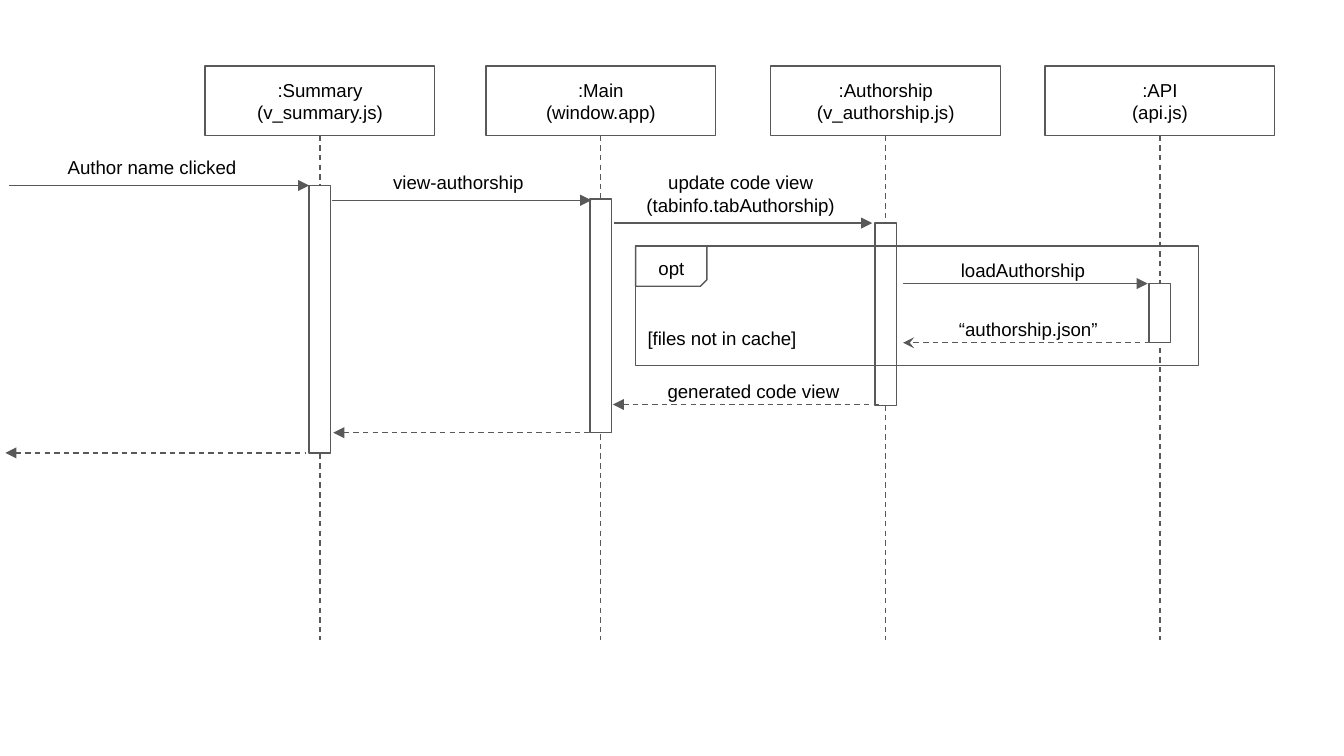
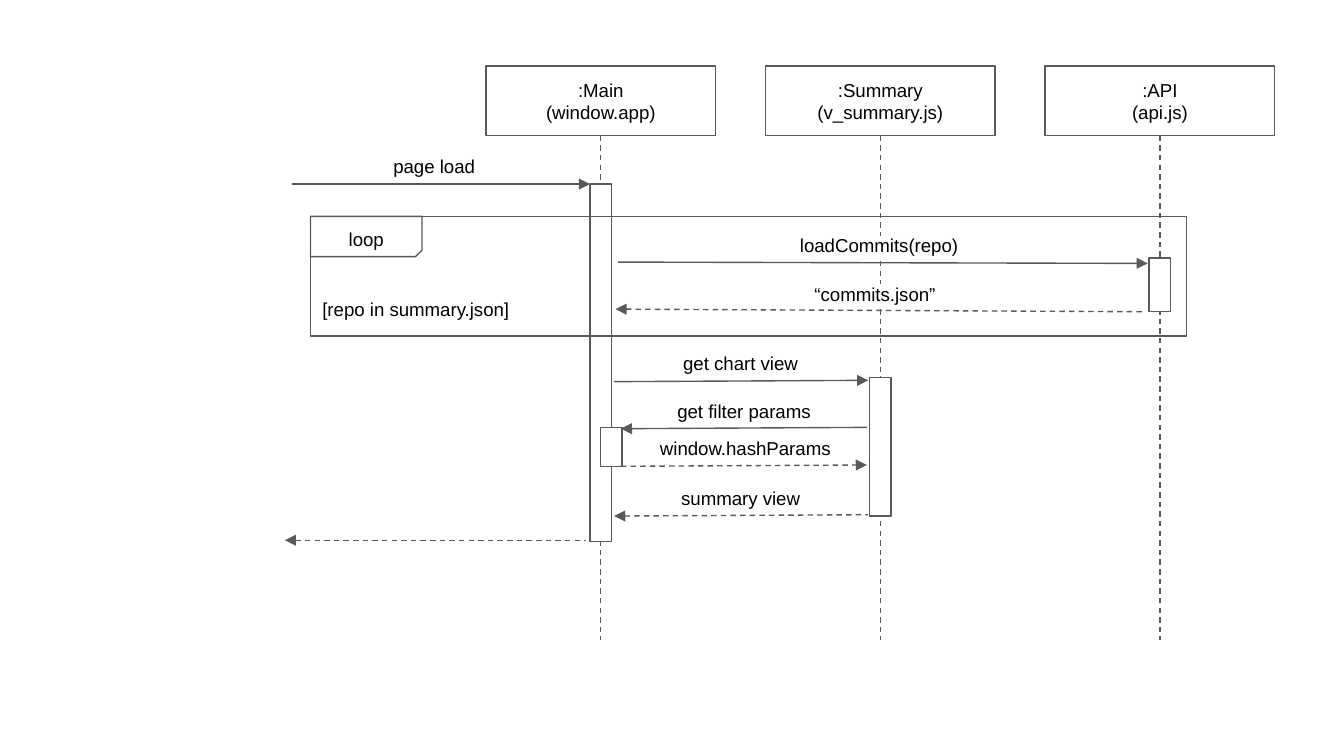
"""Build two sequence diagrams with lifelines, messages and frames."""
from lxml import etree
from pptx import Presentation
from pptx.dml.color import RGBColor
from pptx.enum.dml import MSO_LINE
from pptx.enum.shapes import MSO_CONNECTOR, MSO_SHAPE
from pptx.enum.text import MSO_ANCHOR, PP_ALIGN
from pptx.oxml.ns import qn
from pptx.util import Inches, Pt

RECT, SNIP = MSO_SHAPE.RECTANGLE, MSO_SHAPE.SNIP_1_RECTANGLE
STRAIGHT, DASH = MSO_CONNECTOR.STRAIGHT, MSO_LINE.DASH
TOP, MIDDLE = MSO_ANCHOR.TOP, MSO_ANCHOR.MIDDLE
LEFT, CENTER = PP_ALIGN.LEFT, PP_ALIGN.CENTER

COLORS = {"line": "595959", "text": "000000", "paper": "FFFFFF"}
FONT, SIZE, STROKE, INSET = "Arial", 10, 0.75, 0.1
WIDTH = 10
HEIGHT = WIDTH * 9 / 16
HEAD_TOP, HEAD_W, HEAD_H = 0.49, 1.71, 0.52
LIFE_TOP, LIFE_END = 1.01, 4.76
BAR_W = 0.16
FRAME_H, TAG_H = 0.89, 0.3

AUTHOR = {
    "heads": [
        (4.47, ":Main\n(window.app)"),
        (2.38, ":Summary\n(v_summary.js)"),
        (6.59, ":Authorship\n(v_authorship.js)"),
        (8.63, ":API\n(api.js)"),
    ],
    "bars": [(2.38, 1.38, 1.99), (4.47, 1.48, 1.74),
             (6.59, 1.66, 1.36), (8.63, 2.11, 0.44)],
    "calls": [
        ((0.07, 1.38), (2.3, 1.38), "Author name clicked", (0.02, 2.22, 0.27)),
        ((2.47, 1.49), (4.4, 1.49), "view-authorship", (2.47, 1.88, 0.27)),
        ((4.57, 1.66), (6.49, 1.66),
         "update code view\v(tabinfo.tabAuthorship)", (4.57, 1.88, 0.44)),
        ((6.72, 2.11), (8.54, 2.11), "loadAuthorship", (6.72, 1.78, 0.2)),
    ],
    "replies": [
        ((6.72, 2.55), (8.54, 2.55), "“authorship.json”",
         (6.76, 1.78, 0.2), "headEnd", "stealth"),
        ((4.56, 3.01), (6.55, 3.01), "generated code view",
         (4.63, 1.95, 0.2), "headEnd"),
        ((2.48, 3.22), (4.38, 3.22)),
        ((0.04, 3.37), (2.27, 3.37)),
    ],
    "frame": (4.73, 1.83, 4.19, 0.53, "opt", "[files not in cache]", 1.54),
}

LOAD = {
    "heads": [
        (4.47, ":Main\n(window.app)"),
        (6.55, ":Summary\n(v_summary.js)"),
        (8.63, ":API\n(api.js)"),
    ],
    "bars": [(4.47, 1.37, 2.66), (8.63, 1.92, 0.4),
             (6.55, 2.81, 1.03), (4.55, 3.18, 0.29)],
    "calls": [
        ((2.17, 1.37), (4.39, 1.37), "page load", (2.12, 2.22, 0.27)),
        ((4.6, 1.95), (8.54, 1.96), "loadCommits(repo)",
         (5.52, 2.04, 0.27), "tailEnd", "triangle", True),
        ((4.57, 2.84), (6.46, 2.83), "get chart view", (4.64, 1.74, 0.27)),
        ((4.62, 3.19), (6.45, 3.18), "get filter params",
         (4.69, 1.69, 0.27), "headEnd"),
    ],
    "replies": [
        ((4.58, 2.3), (8.52, 2.32), "“commits.json”",
         (5.49, 2.04, 0.27), "headEnd", "triangle", True),
        ((4.62, 3.47), (6.45, 3.46), "window.hashParams",
         (4.7, 1.69, 0.27), "tailEnd"),
        ((4.57, 3.84), (6.46, 3.83), "summary view",
         (4.64, 1.74, 0.27), "headEnd"),
        ((2.12, 4.02), (4.36, 4.02)),
    ],
    "frame": (2.31, 1.61, 6.52, 0.83, "loop", "[repo in summary.json]", 2.39),
}


def color(name):
    """Return a named colour."""
    return RGBColor.from_string(COLORS[name])


def write(frame, text, align=CENTER, anchor=MIDDLE):
    """Fill a text frame in the shared style."""
    frame.word_wrap = True
    frame.vertical_anchor = anchor
    frame.margin_left = frame.margin_right = Inches(INSET)
    frame.margin_top = frame.margin_bottom = Inches(INSET)
    frame.text = text
    for para in frame.paragraphs:
        para.alignment = align
        para.font.name = FONT
        para.font.size = Pt(SIZE)
        para.font.color.rgb = color("text")


def label(slide, at, text, align=CENTER, anchor=MIDDLE):
    """Add a text box and return its text frame."""
    box = slide.shapes.add_textbox(*map(Inches, at))
    write(box.text_frame, text, align, anchor)
    return box.text_frame


def mark(frame):
    """Put a paper coloured highlight behind the text."""
    for run in frame.paragraphs[0].runs:
        props = run.font._element
        light = etree.SubElement(props, qn("a:highlight"))
        etree.SubElement(light, qn("a:srgbClr"), val=COLORS["paper"])


def shape(slide, kind, at, fill=None):
    """Add an outlined shape, filled or clear."""
    item = slide.shapes.add_shape(kind, *map(Inches, at))
    item.shadow.inherit = False
    item.line.color.rgb = color("line")
    item.line.width = Pt(STROKE)
    if fill:
        item.fill.solid()
        item.fill.fore_color.rgb = color(fill)
    else:
        item.fill.background()
    return item


def stroke(slide, start, end, dash=False, side=None, tip="triangle"):
    """Add a straight line, with an arrowhead if a side is named."""
    item = slide.shapes.add_connector(STRAIGHT, *map(Inches, start + end))
    item.line.color.rgb = color("line")
    item.line.width = Pt(STROKE)
    if dash:
        item.line.dash_style = DASH
    if side:
        etree.SubElement(item.line._get_or_add_ln(), qn("a:" + side), type=tip)
    etree.SubElement(item._element.spPr, qn("a:effectLst"))


def message(slide, start, end, text=None, place=None, side="tailEnd",
            tip="triangle", lit=False, dash=False):
    """Add an arrow with its label resting on it."""
    stroke(slide, start, end, dash, side, tip)
    if text:
        left, width, height = place
        top = max(start[1], end[1]) - height
        frame = label(slide, (left, top, width, height), text)
        if lit:
            mark(frame)


def header(slide, mid, text):
    """Add the box that names a lifeline."""
    box = shape(slide, RECT, (mid - HEAD_W / 2, HEAD_TOP, HEAD_W, HEAD_H))
    write(box.text_frame, text)


def frame(slide, left, top, width, wide, name, guard, room):
    """Add a fragment frame with its tag and guard."""
    shape(slide, RECT, (left, top, width, FRAME_H))
    tag = shape(slide, SNIP, (left, top, wide, TAG_H))
    tag.adjustments[0] = 0.16
    tag.rotation = 180
    tag._element.spPr.get_or_add_xfrm().set("flipH", "1")
    label(slide, (left + 0.01, top, wide - 0.02, TAG_H), name, anchor=TOP)
    label(slide, (left - 0.01, top + 0.52, room, 0.38), guard, LEFT, TOP)


def diagram(deck, plan):
    """Add one slide from its plan."""
    slide = deck.slides.add_slide(deck.slide_layouts[6])
    for mid, text in plan["heads"]:
        header(slide, mid, text)
    for mid, _ in plan["heads"]:
        stroke(slide, (mid, LIFE_TOP), (mid, LIFE_END), dash=True)
    for mid, top, height in plan["bars"]:
        shape(slide, RECT, (mid - BAR_W / 2, top, BAR_W, height), "paper")
    for call in plan["calls"]:
        message(slide, *call)
    for reply in plan["replies"]:
        if len(reply) == 2:
            message(slide, *reply, side="headEnd", dash=True)
        else:
            message(slide, *reply, dash=True)
    frame(slide, *plan["frame"])


def main():
    """Build and save the deck."""
    deck = Presentation()
    deck.slide_width, deck.slide_height = Inches(WIDTH), Inches(HEIGHT)
    for plan in (AUTHOR, LOAD):
        diagram(deck, plan)
    deck.save("out.pptx")


main()
